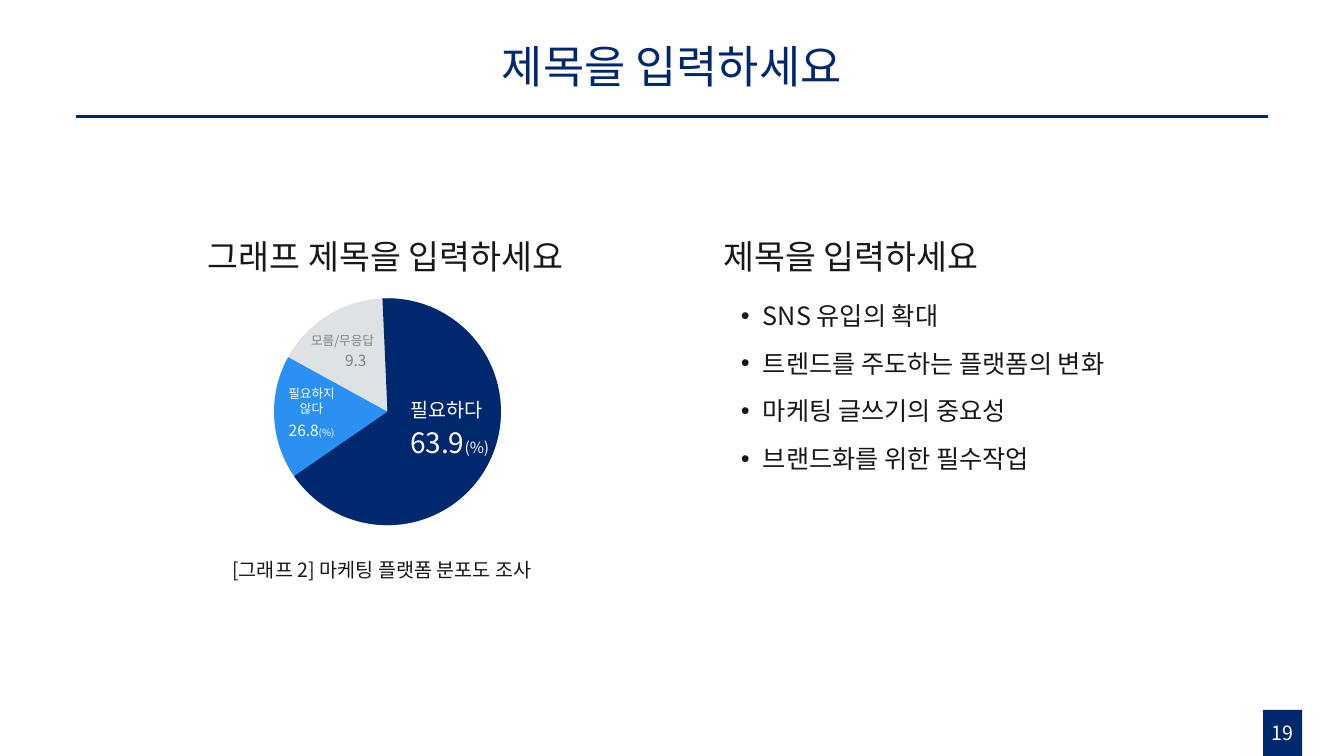
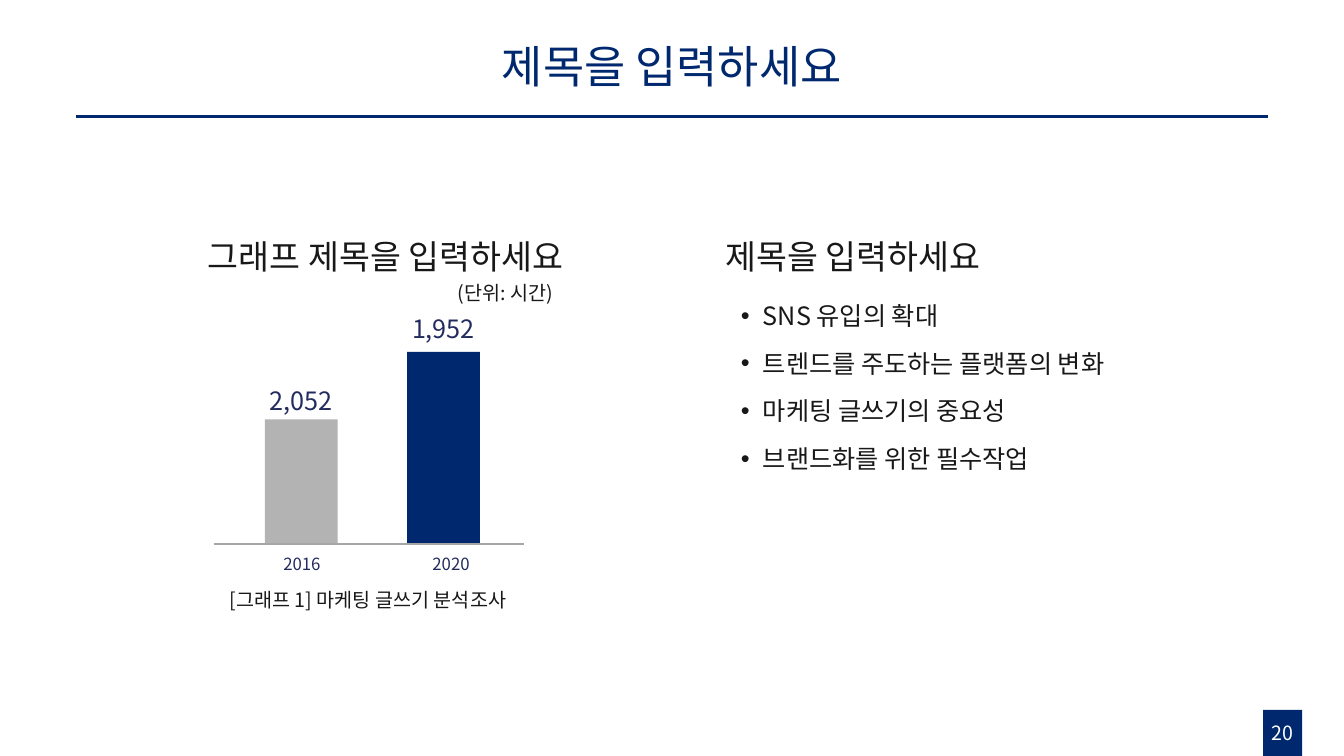
from lxml.etree import SubElement as Sub
from pptx import Presentation as Deck
from pptx.dml.color import RGBColor as Rgb
from pptx.enum.shapes import MSO_CONNECTOR as Conn, MSO_SHAPE as Kind
from pptx.enum.text import MSO_ANCHOR as Anchor, PP_ALIGN as Align
from pptx.oxml.ns import qn
from pptx.util import Pt

FONT = "Noto Sans CJK KR"
HUES = {
    "navy": "00286F", "blue": "2A90F1", "pale": "DFE2E5", "white": "FFFFFF",
    "ink": "181818", "mute": "808080", "gray": "B3B3B3", "axis": "A6A6A6",
    "label": "232C5E",
}
HEAD = "제목을 입력하세요"
POINTS = ["SNS 유입의 확대", "트렌드를 주도하는 플랫폼의 변화",
          "마케팅 글쓰기의 중요성", "브랜드화를 위한 필수작업"]


def hue(name):
    return Rgb.from_string(HUES[name])


def style(para, size, color):
    font = para.font
    font.name, font.size = FONT, Pt(size)
    font.color.rgb = hue(color)
    Sub(para._p.pPr.find(qn("a:defRPr")), qn("a:ea"), typeface=FONT)


def bullet(para):
    props = para._p.get_or_add_pPr()
    props.set("marL", str(Pt(22.3)))
    props.set("indent", str(Pt(-15.8)))
    Sub(props, qn("a:buFont"), typeface="Arial")
    Sub(props, qn("a:buChar"), char="•")


def text(slide, box, lines, size, color="ink", align=Align.CENTER,
         space=None, mid=False, dots=False, unit=None):
    frame = slide.shapes.add_textbox(*map(Pt, box)).text_frame
    frame.word_wrap = True
    frame.vertical_anchor = Anchor.MIDDLE if mid else Anchor.TOP
    for i, line in enumerate(lines):
        para = frame.add_paragraph() if i else frame.paragraphs[0]
        para.alignment = align
        if space:
            para.line_spacing = space
        if dots:
            para.space_after = Pt(6)
            bullet(para)
        style(para, size, color)
        para.add_run().text = line
        if unit:
            run = para.add_run()
            run.text, run.font.size = "(%)", Pt(unit)


def shape(slide, kind, box, color):
    item = slide.shapes.add_shape(kind, *map(Pt, box))
    item.shadow.inherit = False
    item.fill.solid()
    item.fill.fore_color.rgb = hue(color)
    item.line.fill.background()
    return item


def rule(slide, left, right, y, color, width):
    line = slide.shapes.add_connector(
        Conn.STRAIGHT, Pt(left), Pt(y), Pt(right), Pt(y))
    line.line.color.rgb = hue(color)
    line.line.width = Pt(width)
    Sub(line._element.spPr, qn("a:effectLst"))


def page(deck, num, left):
    slide = deck.slides.add_slide(deck.slide_layouts[6])
    rule(slide, 54, 906, 83.5, "navy", 2.25)
    shape(slide, Kind.RECTANGLE, (902.2, 507, 28, 33), "navy")
    text(slide, (892, 511.2, 48.2, 24.5), [num], 14, "white")
    text(slide, (196, 21.6, 568, 54.7), [HEAD], 32, "navy",
         space=0.9, mid=True)
    text(slide, (119.5, 157, 311.8, 43.2), ["그래프 제목을 입력하세요"], 24,
         space=1.3, mid=True)
    text(slide, (left, 157, 266.4, 43.2), [HEAD], 24,
         align=Align.LEFT, space=1.3, mid=True)
    text(slide, (515.5, 204.5, 358, 137.5), POINTS, 18,
         align=Align.LEFT, space=1.3, dots=True)
    return slide


def note(slide, box, words):
    text(slide, box, [words], 14, space=1.3)


def pie(slide):
    for start, end, color in ((269.8, 269.78, "pale"),
                              (269.8, 208.8, "blue"),
                              (267.45, 145.4, "navy")):
        wedge = shape(slide, Kind.PIE, (195.8, 213.1, 162, 162), color)
        for i, angle in enumerate((start, end)):
            wedge.adjustments[i] = angle * 0.6
    text(slide, (285.8, 280.8, 85, 24.5), ["필요하다"], 14, "white", Align.LEFT)
    text(slide, (285.8, 300.2, 85, 31.7), ["63.9"], 20, "white", Align.LEFT,
         unit=11)
    text(slide, (180, 272.2, 85, 28.8), ["필요하지", "않다"], 9, "white")
    text(slide, (180, 297.4, 85, 20.9), ["26.8"], 11, "white", unit=7)
    text(slide, (210.2, 234, 69, 18), ["모름/무응답"], 9, "mute")
    text(slide, (230.4, 247, 47.5, 20.9), ["9.3"], 11, "mute")


def bars(slide):
    base, wide, span = 388.8, 52, 103
    for x, top, color, val, high, year, left in (
            (189.3, 299.5, "gray", "2,052", 271.4, "2016", 164.2),
            (290.8, 251.3, "navy", "1,952", 220.3, "2020", 270.7)):
        shape(slide, Kind.RECTANGLE, (x, top, wide, base - top), color)
        text(slide, (x - (span - wide) / 2, high, span, 28.8), [val], 18,
             "label")
        text(slide, (left, 392, span, 21.6), [year], 12, "label")
    rule(slide, 152.6, 374.4, base, "axis", 1.5)
    note(slide, (309.6, 192.2, span, 28), "(단위: 시간)")


def main():
    deck = Deck()
    deck.slide_width, deck.slide_height = Pt(960), Pt(540)
    first = page(deck, "19", 509.8)
    pie(first)
    note(first, (134.6, 390.2, 276.5, 28), "[그래프 2] 마케팅 플랫폼 분포도 조사")
    second = page(deck, "20", 511.2)
    bars(second)
    note(second, (124.6, 411.1, 276.5, 28), "[그래프 1] 마케팅 글쓰기 분석조사")
    deck.save("out.pptx")


if __name__ == "__main__":
    main()
